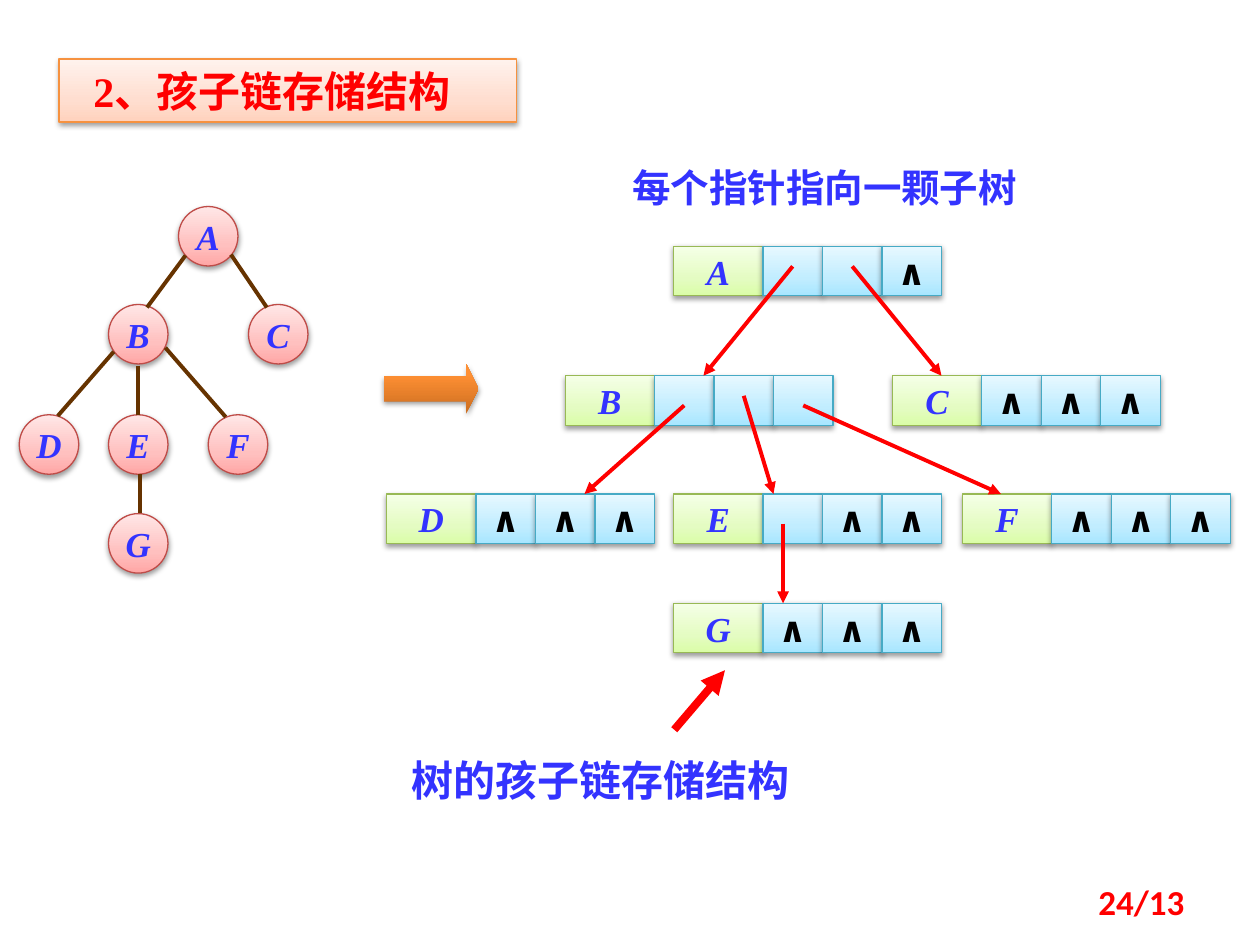
from dataclasses import dataclass

from lxml import etree
from pptx import Presentation
from pptx import util as u
from pptx.dml.color import RGBColor
from pptx.enum import shapes, text
from pptx.oxml.ns import qn


@dataclass(frozen=True)
class Theme:
    serif: str = "Times New Roman"
    sans: str = "Calibri"
    chinese: str = "Noto Sans CJK SC"
    red: str = "FF0000"
    blue: str = "3333FF"
    black: str = "000000"
    brown: str = "663300"
    heading: int = 24
    note: int = 22
    label: int = 20
    # Each finish: gradient stops from bottom to top, then the outline colour
    peach: tuple = (((0, "FFD2BD"), (35, "FFDED0"), (100, "FFF2ED")), "F69240")
    rose: tuple = (((0, "FFA6A5"), (35, "FFC0BF"), (100, "FFE7E7")), "BF4C48")
    lime: tuple = (((0, "DAFDA7"), (35, "E4FCC2"), (100, "F5FFE7")), "98B955")
    sky: tuple = (((0, "A7E6FF"), (35, "C1EDFF"), (100, "E7F8FF")), "46AAC5")
    orange: tuple = (((0, "CC6E20"), (80, "FF9034"), (100, "FF9136")), None)


THEME = Theme()
ALIGN = text.PP_ALIGN
ANCHOR = text.MSO_ANCHOR
NODE = 34
DATA_WIDTH, POINTER_WIDTH, RECORD_HEIGHT = 51, 34, 28.35

TREE_NODES = {"A": (91, 0), "B": (51, 56), "C": (131, 56), "D": (0, 119),
              "E": (51, 119), "F": (108, 119), "G": (51, 175.5)}
TREE_EDGES = [(95, 28, 73, 57.7), (121, 27.5, 141.5, 57.7),
              (68, 91, 68, 119), (54, 83, 22, 119.7),
              (83.5, 80.7, 118, 120.3), (69, 152.7, 69, 175)]

RECORDS = {"A": (164, 0), "B": (102, 74), "C": (289, 74), "D": (0, 141.6),
           "E": (164, 141.6), "F": (329, 141.6), "G": (164, 204)}
# parent, slot, nudge from the slot's centre, drop, child, reach along its top
LINKS = [("A", 0, 0, 11.5, "B", 79), ("A", 1, 0, 11.5, "C", 28),
         ("B", 0, 0, 17, "D", 113), ("B", 1, 0, 11.5, "E", 57),
         ("B", 2, 0, 17, "F", 22), ("E", 0, -5.5, 17, "G", 62.5)]


def points(*values):
    return [u.Pt(value) for value in values]


def finish_shape(box, finish):
    """Give a shape its gradient, outline and soft shadow."""
    stops, outline = finish
    box.fill.gradient()
    box.fill.gradient_angle = 90
    stop_list = next(box._element.spPr.iter(qn("a:gsLst")))
    for old_stop in list(stop_list):
        stop_list.remove(old_stop)
    for position, colour in stops:
        stop = etree.SubElement(stop_list, qn("a:gs"), pos=str(position * 1000))
        etree.SubElement(stop, qn("a:srgbClr"), val=colour)
    if outline:
        box.line.color.rgb = RGBColor.from_string(outline)
        box.line.width = u.Pt(0.75)
    else:
        box.line.fill.background()
    box.shadow.inherit = False
    effects = box._element.spPr.find(qn("a:effectLst"))
    shadow = etree.SubElement(effects, qn("a:outerShdw"), blurRad=str(u.Pt(3.1)),
                              dist=str(u.Pt(1.6)), dir="5400000", rotWithShape="0")
    colour = etree.SubElement(shadow, qn("a:srgbClr"), val=THEME.black)
    etree.SubElement(colour, qn("a:alpha"), val="38000")


def write(box, words, size, face, colour, align=ALIGN.CENTER,
          anchor=ANCHOR.MIDDLE, italic=False, wrap=True):
    frame = box.text_frame
    frame.text = words
    frame.word_wrap = wrap
    frame.vertical_anchor = anchor
    para = frame.paragraphs[0]
    para.alignment = align
    span = para.runs[0]
    font = span.font
    font.size, font.name, font.bold, font.italic = u.Pt(size), face, True, italic
    font.color.rgb = RGBColor.from_string(colour)
    if any("\u4e00" <= letter <= "\u9fff" for letter in words):
        etree.SubElement(span._r.get_or_add_rPr(), qn("a:ea"), typeface=THEME.chinese)


def add_box(canvas, kind, area, finish):
    box = canvas.add_shape(kind, *points(*area))
    finish_shape(box, finish)
    return box


def add_letter(box, letter):
    write(box, letter, THEME.label, THEME.serif, THEME.blue, italic=True, wrap=False)


def add_line(canvas, ends, colour, width=2.25, arrow=False):
    line = canvas.add_connector(shapes.MSO_CONNECTOR.STRAIGHT, *points(*ends))
    line.line.color.rgb = RGBColor.from_string(colour)
    line.line.width = u.Pt(width)
    if arrow:
        etree.SubElement(line.line._get_or_add_ln(), qn("a:tailEnd"), type="triangle")
    etree.SubElement(line._element.spPr, qn("a:effectLst"))


def place_title(page, area):
    title = page.shapes.title
    title.left, title.top, title.width, title.height = points(*area)
    finish_shape(title, THEME.peach)
    write(title, "2、孩子链存储结构", THEME.heading, THEME.serif, THEME.red, ALIGN.LEFT)
    frame = title.text_frame
    frame.auto_size = text.MSO_AUTO_SIZE.NONE
    frame.margin_left = u.Pt(19.5)
    frame.margin_top = frame.margin_bottom = u.Pt(3.6)


def place_text(canvas, area, words, size, face, colour, align, anchor=ANCHOR.TOP):
    box = canvas.add_textbox(*points(*area))
    write(box, words, size, face, colour, align, anchor)


def place_tree(canvas, left, top):
    for letter, (x, y) in TREE_NODES.items():
        node = add_box(canvas, shapes.MSO_SHAPE.OVAL,
                       (left + x, top + y, NODE, NODE), THEME.rose)
        add_letter(node, letter)
    for x1, y1, x2, y2 in TREE_EDGES:
        add_line(canvas, (left + x1, top + y1, left + x2, top + y2), THEME.brown)


def place_record(canvas, left, top, letter):
    """One record: a data cell and three pointer cells."""
    rectangle = shapes.MSO_SHAPE.RECTANGLE
    data = add_box(canvas, rectangle, (left, top, DATA_WIDTH, RECORD_HEIGHT), THEME.lime)
    add_letter(data, letter)
    used = [slot for parent, slot, *_ in LINKS if parent == letter]
    for slot in range(3):
        x = left + DATA_WIDTH + slot * POINTER_WIDTH
        cell = add_box(canvas, rectangle, (x, top, POINTER_WIDTH, RECORD_HEIGHT), THEME.sky)
        if slot not in used:
            write(cell, "∧", THEME.label, THEME.sans, THEME.black, wrap=False)


def place_storage(canvas, left, top):
    for letter, (x, y) in RECORDS.items():
        place_record(canvas, left + x, top + y, letter)
    for parent, slot, nudge, drop, child, reach in LINKS:
        x1, y1 = RECORDS[parent]
        x2, y2 = RECORDS[child]
        x1 += DATA_WIDTH + (slot + 0.5) * POINTER_WIDTH + nudge
        ends = (left + x1, top + y1 + drop, left + x2 + reach, top + y2)
        add_line(canvas, ends, THEME.red, arrow=True)


def place_caption(canvas, left, top):
    add_line(canvas, (left + 158.5, top + 34, left + 187.5, top), THEME.red, 4.5, True)
    place_text(canvas, (left, top + 44.7, 232.5, 36), "树的孩子链存储结构",
               THEME.heading, THEME.chinese, THEME.blue, ALIGN.CENTER)


def main():
    deck = Presentation()
    deck.slide_width, deck.slide_height = points(720, 540)
    page = deck.slides.add_slide(deck.slide_layouts[5])

    # Heading and the tree on the left
    place_title(page, (33.8, 33.8, 261.5, 36))
    place_tree(page.shapes, 11, 118)

    # Block arrow and linked records on the right
    diagram = page.shapes.add_group_shape().shapes
    arrow = add_box(diagram, shapes.MSO_SHAPE.RIGHT_ARROW,
                    (219.5, 208, 54, 28.35), THEME.orange)
    arrow.adjustments[0], arrow.adjustments[1] = 0.5, 0.25
    place_storage(diagram, 221, 140.7)

    # Captions and page number
    place_caption(page.shapes.add_group_shape().shapes, 226.8, 383)
    place_text(page.shapes, (516, 500.5, 168, 28.8), "24/13", THEME.label,
               THEME.sans, THEME.red, ALIGN.RIGHT, ANCHOR.MIDDLE)
    place_text(page.shapes, (354.3, 90, 264, 34), "每个指针指向一颗子树",
               THEME.note, THEME.chinese, THEME.blue, ALIGN.LEFT)
    deck.save("out.pptx")


if __name__ == "__main__":
    main()
